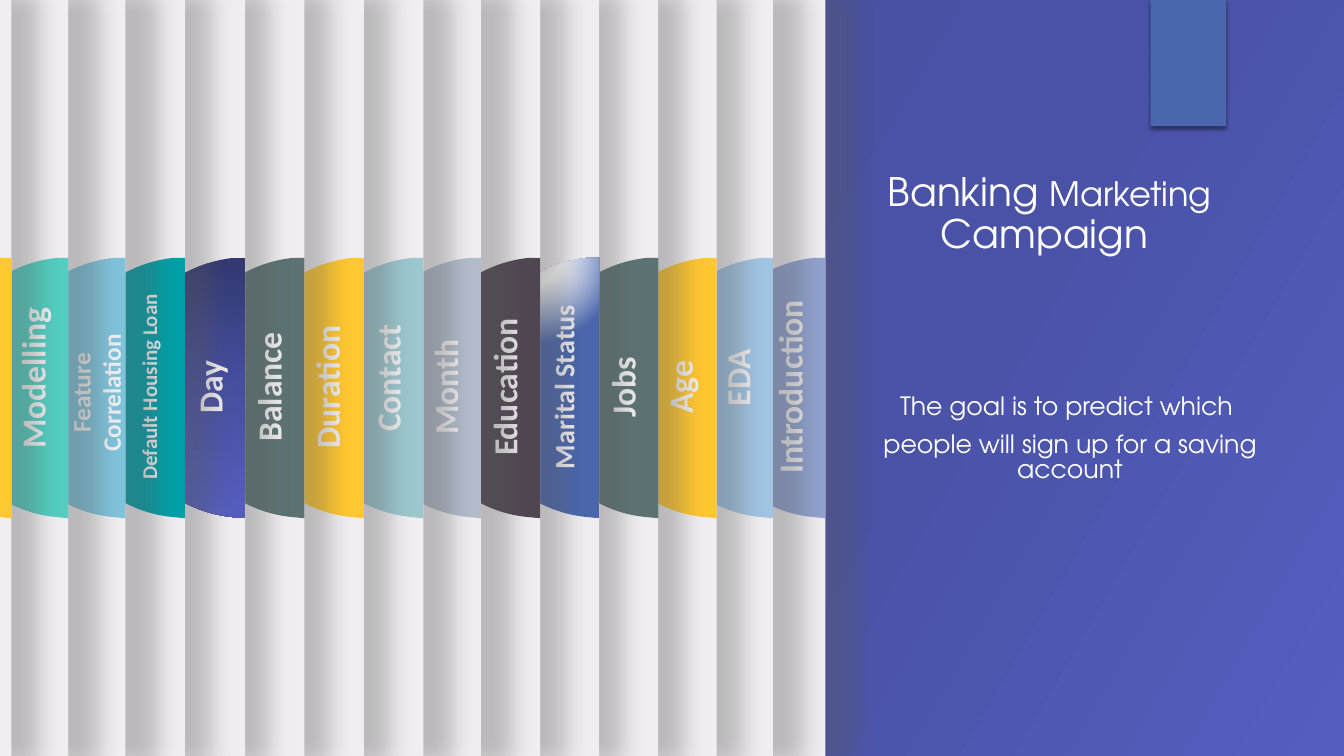
"""Build the fan of section tabs beside the banking campaign title."""
from dataclasses import dataclass
from itertools import cycle

from pptx import Presentation
from pptx.dml.color import RGBColor
from pptx.enum.shapes import MSO_SHAPE
from pptx.enum.text import MSO_ANCHOR, MSO_AUTO_SIZE, PP_ALIGN
from pptx.oxml import parse_xml
from pptx.oxml.ns import nsdecls, qn
from pptx.util import Cm, Pt

RECTANGLE = MSO_SHAPE.RECTANGLE
CENTER = PP_ALIGN.CENTER
TOP, MIDDLE = MSO_ANCHOR.TOP, MSO_ANCHOR.MIDDLE
NO_AUTOFIT = MSO_AUTO_SIZE.NONE

COLORS = {
    "paper": "F0EEF0", "white": "FFFFFF", "black": "000000", "shade": "595959",
    "ribbon": "4A66AC", "lavender": "90A2CF", "sky": "A1C4E3", "yellow": "FFC730",
    "slate": "5D7373", "plum": "504652", "mist": "B2BCCB", "seafoam": "9CC7CE",
    "teal": "00A0A8", "aqua": "7FC3DB", "mint": "52CDC0",
    "navy": "323871", "indigo": "474FA0", "violet": "4952A6", "iris": "555EBE",
}
LABEL_FONT, HEADING_FONT = "Calibri", "TeX Gyre Adventor"
SLIDE_WIDTH, SLIDE_HEIGHT = 33.87, 19.05
PANEL_WIDTHS = [34.67, 31.8, 27.66, 26.59, 24.16, 27.56]
LABEL_WIDTH, LABEL_HEIGHT = 5.54, 1.27
TAB_OUTLINE = [(0, 6.5), (0, 13.06), (-0.3, 13.03),
               (-1.96, 12.88), (-3.25, 11.48), (-3.25, 9.78),
               (-3.25, 8.08), (-1.96, 6.68), (-0.3, 6.5)]

BACKDROP_STOPS = [(0, "navy"), (36, "indigo"), (63, "violet"), (100, "iris")]
BACKDROP_PATH = '<a:lin ang="1800000" scaled="0"/>'
GRADIENTS = {
    "dusk": ([(0, "navy"), (50, "indigo"), (100, "iris")],
             '<a:lin ang="5400000" scaled="0"/>'),
    "glow": ([(0, "white"), (18, "white"), (59, "ribbon")],
             '<a:path path="circle"><a:fillToRect l="50000" t="-80000" '
             'r="50000" b="180000"/></a:path>'),
}


@dataclass
class Section:
    """A labelled tab, placed by the right edge of its panel."""
    label: str
    edge: float
    color: str
    size: int = 24
    label_y: float = 9.75
    label_inset: float = 0.91


SECTIONS = [
    Section("Introduction", 20.8, "lavender"),
    Section("EDA", 19.48, "sky", label_y=9.51),
    Section("Age", 18.06, "yellow", label_inset=0.94),
    Section("Jobs", 16.59, "slate"),
    Section("Marital Status", 15.1, "glow", size=20),
    Section("Education", 13.61, "plum"),
    Section("Month", 12.12, "mist"),
    Section("Contact", 10.67, "seafoam", label_y=9.53),
    Section("Duration", 9.17, "yellow", label_inset=0.94),
    Section("Balance", 7.67, "slate"),
    Section("Day", 6.18, "dusk"),
    Section("Default Housing Loan", 4.66, "teal", size=15),
    Section("Feature Correlation", 3.16, "aqua", size=18, label_y=9.9, label_inset=0.75),
    Section("Modelling", 1.72, "mint", label_y=9.53),
    Section("", 0.29, "yellow"),
]


def rgb(name):
    """Return the named colour."""
    return RGBColor.from_string(COLORS[name])


def apply_format(target, values):
    """Set each attribute of the target from the given values."""
    for attribute, value in values.items():
        setattr(target, attribute, value)


def apply_gradient(properties, stops, path):
    """Replace the solid fill in the properties with a gradient."""
    stop_list = "".join(
        f'<a:gs pos="{position * 1000}"><a:srgbClr val="{COLORS[color]}"/></a:gs>'
        for position, color in stops)
    gradient = parse_xml(f'<a:gradFill {nsdecls("a")} rotWithShape="1">'
                         f'<a:gsLst>{stop_list}</a:gsLst>{path}</a:gradFill>')
    properties.replace(properties.find(qn("a:solidFill")), gradient)


def style_shape(shape, color):
    """Give a shape a plain or gradient fill without line or shadow."""
    shape.shadow.inherit = False
    shape.line.fill.background()
    shape.fill.solid()
    if color in GRADIENTS:
        apply_gradient(shape.element.spPr, *GRADIENTS[color])
    else:
        shape.fill.fore_color.rgb = rgb(color)


def add_shadowed_block(shapes, bounds, color, shadow):
    """Add a rectangle with a soft outer shadow."""
    block = shapes.add_shape(RECTANGLE, *map(Cm, bounds))
    style_shape(block, color)
    shade, alpha, blur, distance, angle, scale = shadow
    block.element.spPr.find(qn("a:effectLst")).append(parse_xml(
        f'<a:outerShdw {nsdecls("a")} blurRad="{Pt(blur)}" dist="{Pt(distance)}" '
        f'dir="{angle * 60000}" sx="{scale * 1000}" sy="{scale * 1000}" algn="l" '
        f'rotWithShape="0"><a:srgbClr val="{COLORS[shade]}">'
        f'<a:alpha val="{alpha * 1000}"/></a:srgbClr></a:outerShdw>'))


def add_half_disc(shapes, edge, color):
    """Add a half disc whose flat side lies on the panel edge."""
    rim = [(Cm(edge + x), Cm(y)) for x, y in TAB_OUTLINE]
    builder = shapes.build_freeform(*rim[0])
    builder.add_line_segments(rim[1:], close=True)
    tab = builder.convert_to_shape()
    outline = tab.element.find(".//" + qn("a:path"))
    handles = outline.findall(qn("a:lnTo"))[2:]
    for first in range(0, len(handles), 3):
        curve = parse_xml(f'<a:cubicBezTo {nsdecls("a")}/>')
        handles[first].addprevious(curve)
        for handle in handles[first:first + 3]:
            curve.append(handle[0])
            outline.remove(handle)
    style_shape(tab, color)


def fill_text(holder, paragraphs, font, color, anchor, spacing=1.0, gap=0, bold=False):
    """Write centred paragraphs, each a list of text and size pairs."""
    frame = holder.text_frame
    apply_format(frame, {"word_wrap": True, "auto_size": NO_AUTOFIT,
                         "vertical_anchor": anchor})
    for index, pieces in enumerate(paragraphs):
        paragraph = frame.add_paragraph() if index else frame.paragraphs[0]
        apply_format(paragraph, {"alignment": CENTER, "line_spacing": spacing,
                                 "space_before": Pt(gap if index else 0)})
        for text, size in pieces:
            run = paragraph.add_run()
            run.text = text
            apply_format(run.font, {"name": font, "size": Pt(size), "bold": bold})
            run.font.color.rgb = rgb(color)


def add_label(shapes, section):
    """Add the label that reads upwards on a tab."""
    left = section.edge - section.label_inset - LABEL_WIDTH / 2
    top = section.label_y - LABEL_HEIGHT / 2
    label = shapes.add_textbox(*map(Cm, (left, top, LABEL_WIDTH, LABEL_HEIGHT)))
    label.rotation = 270
    fill_text(label, [[(section.label, section.size)]], LABEL_FONT, "paper", MIDDLE,
              bold=True)


def add_section(slide, section, width):
    """Add a group of a panel with its tab and label."""
    shapes = slide.shapes.add_group_shape().shapes
    add_shadowed_block(shapes, (section.edge - width, 0, width, SLIDE_HEIGHT),
                       "paper", ("shade", 35, 17, 3, 0, 102))
    add_half_disc(shapes, section.edge, section.color)
    if section.label:
        add_label(shapes, section)


def add_heading(slide):
    """Place the title and the goal statement."""
    title = slide.shapes.title
    apply_format(title, {"left": Cm(20.45), "top": Cm(4.22),
                         "width": Cm(12.01), "height": Cm(3.45)})
    fill_text(title, [[("Banking ", 28), ("Marketing", 24), (" Campaign ", 28)]],
              HEADING_FONT, "white", TOP, spacing=0.9)
    goal = slide.shapes.add_textbox(Cm(21.16), Cm(9.86), Cm(11.61), Cm(2.44))
    fill_text(goal, [[("The goal is to predict which ", 18)],
                     [("people will sign up for a saving account", 18)]],
              HEADING_FONT, "white", TOP, spacing=0.8, gap=10)


def main():
    """Build and save the slide."""
    deck = Presentation()
    apply_format(deck, {"slide_width": Cm(SLIDE_WIDTH), "slide_height": Cm(SLIDE_HEIGHT)})
    slide = deck.slides.add_slide(deck.slide_layouts.get_by_name("Title Only"))
    slide.background.fill.solid()
    apply_gradient(slide.element.find(".//" + qn("p:bgPr")), BACKDROP_STOPS, BACKDROP_PATH)
    add_shadowed_block(slide.shapes, (29, 0, 1.9, 3.18), "ribbon",
                       ("black", 45, 3, 2, 90, 100))
    for section, width in zip(SECTIONS, cycle(PANEL_WIDTHS)):
        add_section(slide, section, width)
    add_heading(slide)
    deck.save("out.pptx")


if __name__ == "__main__":
    main()
